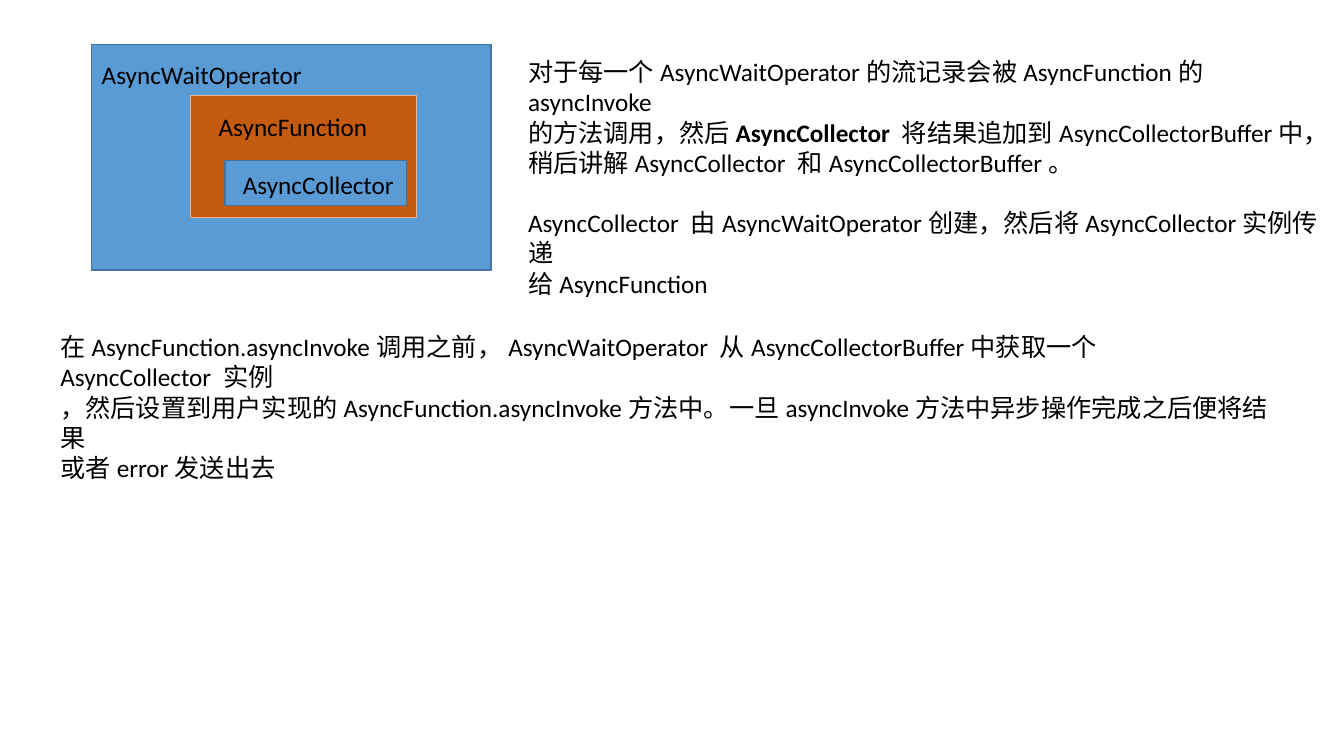
"""Build the slide on AsyncWaitOperator, AsyncFunction and AsyncCollector."""
from pptx import Presentation
from pptx import util as u
from pptx.dml.color import RGBColor
from pptx.enum import shapes, text

BLUE, NAVY = RGBColor(0x5B, 0x9B, 0xD5), RGBColor(0x43, 0x73, 0x9E)
RUST, PEACH = RGBColor(0xC5, 0x5A, 0x11), RGBColor(0xF4, 0xB1, 0x83)
BLACK = RGBColor(0, 0, 0)

deck = Presentation()
deck.slide_width, deck.slide_height = u.Inches(13.33), u.Inches(7.5)
COLUMN, ROW = deck.slide_width / 100, deck.slide_height / 100
page = deck.slides.add_slide(deck.slide_layouts[6])


def place(left, top, width, height):
    return int(left * COLUMN), int(top * ROW), int(width * COLUMN), int(height * ROW)


def write(lines, area, wrap=True, bold="", gap_line=None):
    box = page.shapes.add_textbox(*place(*area))
    frame = box.text_frame
    frame.word_wrap = wrap
    frame.auto_size = text.MSO_AUTO_SIZE.SHAPE_TO_FIT_TEXT
    for index, line in enumerate(lines):
        para = frame.paragraphs[0] if index == 0 else frame.add_paragraph()
        if index == gap_line:
            para.space_before = u.Pt(21.6)
        parts = line.partition(bold) if bold and not line.startswith(bold) else (line,)
        for part in filter(None, parts):
            span = para.add_run()
            span.text = part
            span.font.name, span.font.size = "Calibri", u.Pt(18)
            span.font.color.rgb = BLACK
            span.font.bold = part == bold


nested_parts = [
    ("AsyncWaitOperator\u00a0", (6.83, 5.87, 29.7, 29.87), (6.83, 7.2, 16.95, 5.33), BLUE, NAVY),
    ("AsyncFunction", (14.18, 12.67, 16.8, 16.13), (15.53, 14.13, 12.75, 5.33), RUST, PEACH),
    ("AsyncCollector", (16.73, 21.2, 13.5, 6), (17.33, 21.73, 12.83, 5.33), BLUE, NAVY),
]
for label, area, label_area, fill, line in nested_parts:
    block = page.shapes.add_shape(shapes.MSO_SHAPE.RECTANGLE, *place(*area))
    block.shadow.inherit = False
    block.fill.solid()
    block.fill.fore_color.rgb = fill
    block.line.color.rgb = line
    block.line.width = u.Pt(1)
    write([label], label_area, wrap=False)

write(
    [
        "对于每一个AsyncWaitOperator的流记录会被AsyncFunction的asyncInvoke",
        "的方法调用，然后AsyncCollector\u00a0将结果追加到AsyncCollectorBuffer中，",
        "稍后讲解AsyncCollector 和AsyncCollectorBuffer。",
        "AsyncCollector\u00a0由AsyncWaitOperator创建，然后将AsyncCollector实例传递",
        "给AsyncFunction",
    ],
    (38.55, 6.8, 60.45, 25.6), bold="AsyncCollector\u00a0", gap_line=3,
)
write(
    [
        "在AsyncFunction.asyncInvoke调用之前，AsyncWaitOperator\u00a0从AsyncCollectorBuffer"
        "中获取一个AsyncCollector\u00a0实例",
        "，然后设置到用户实现的AsyncFunction.asyncInvoke方法中。"
        "一旦asyncInvoke方法中异步操作完成之后便将结果",
        "或者error发送出去",
    ],
    (3.75, 43.2, 92.33, 13.47),
)

deck.save("out.pptx")
